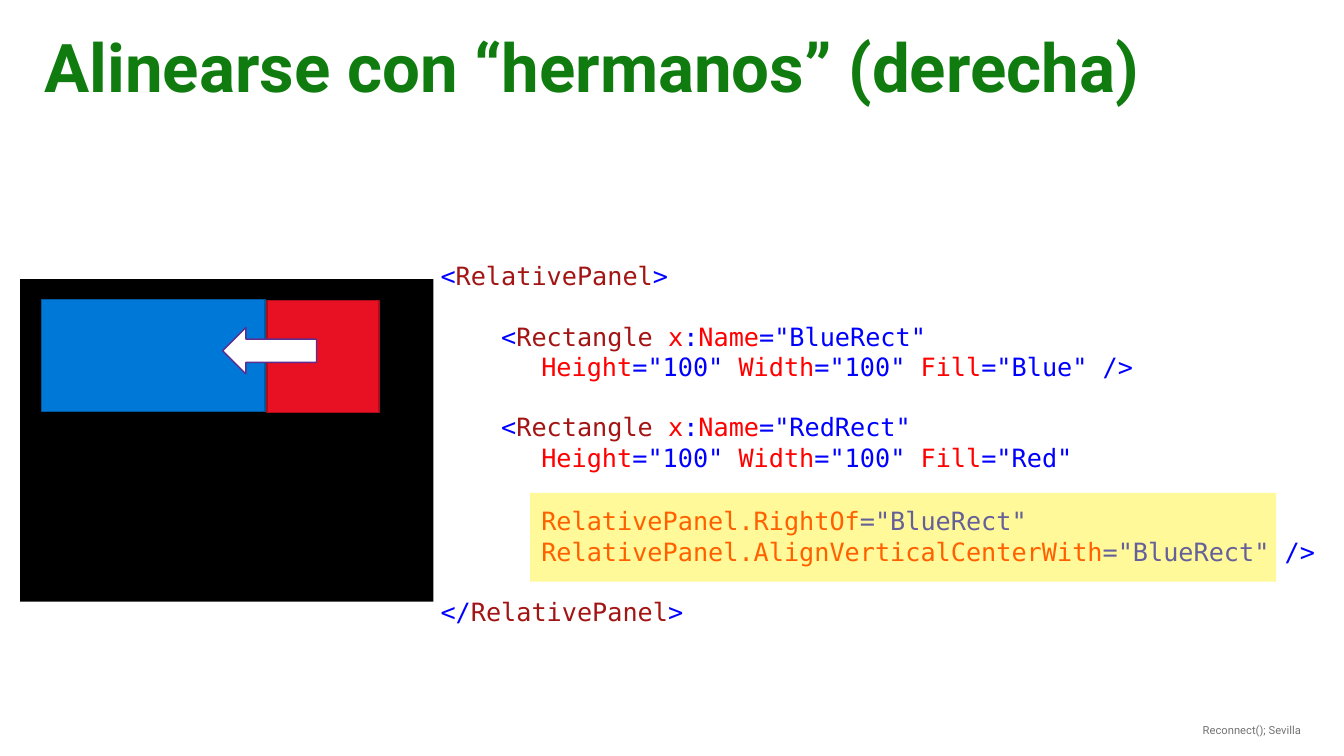
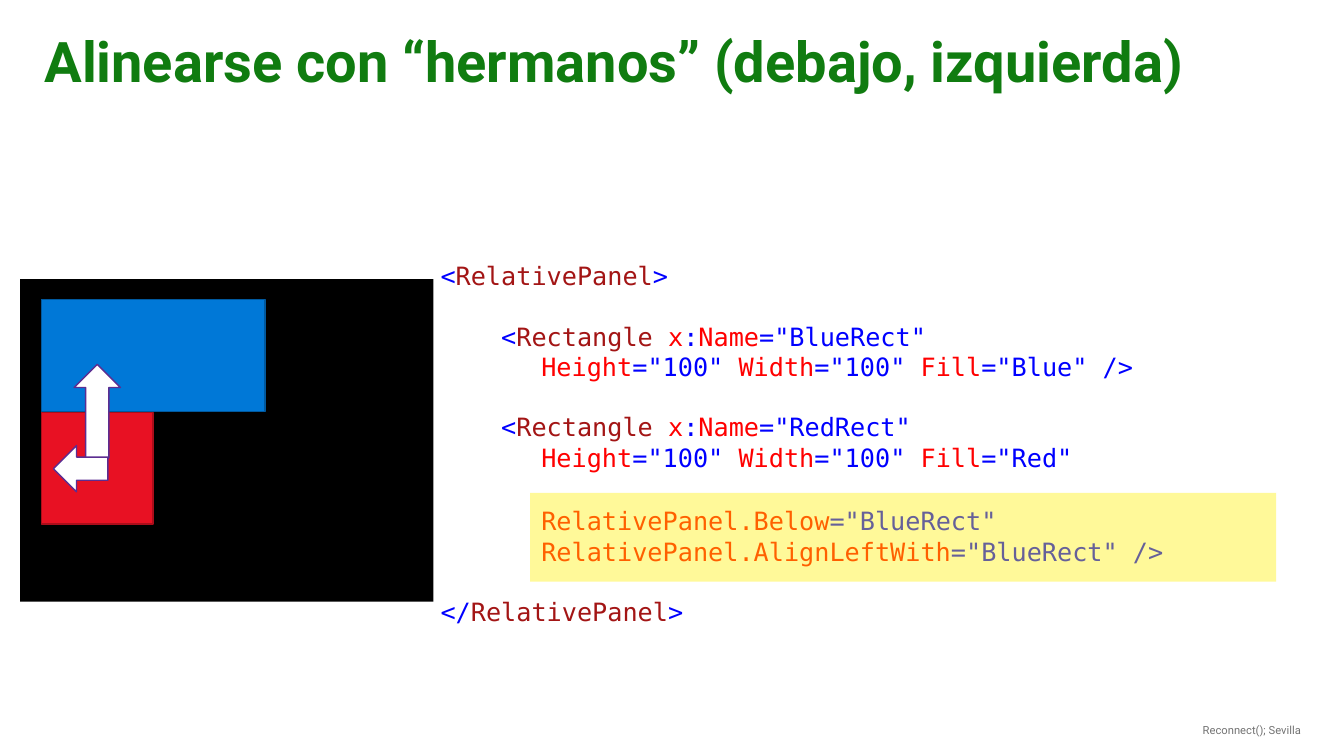
import pptx
import pptx.util
import pptx.dml.color
import pptx.enum.shapes
import pptx.enum.text
import pptx.oxml

Inches = pptx.util.Inches
Pt = pptx.util.Pt
KIND = pptx.enum.shapes.MSO_SHAPE
ALIGN = pptx.enum.text.PP_ALIGN
ANCHOR = pptx.enum.text.MSO_ANCHOR

INK = {
    "title": "107C10", "foot": "737373",
    "mark": "0000FF", "tag": "A31515", "attr": "FF0000",
    "panel": "000000", "blue": "0078D7", "navy": "00599F",
    "red": "E81123", "wine": "AC0D1A",
    "arrow": "FFFFFF", "edge": "5C2D91", "glow": "FFF100",
}
SANS, MONO = "Roboto", "DejaVu Sans Mono"
PITCH = 21.6  # code line height in points
SIDE = 1.11   # side of the red square
ARROW = 0.46  # arrow thickness


def rgb(key):
    return pptx.dml.color.RGBColor.from_string(INK[key])


# Text
def add_run(para, text, key, size, face, bold=False):
    run = para.add_run()
    run.text = text
    font = run.font
    font.size, font.name, font.bold = Pt(size), face, bold
    font.color.rgb = rgb(key)


def add_box(slide, area, pad=(0.1, 0.05), anchor=ANCHOR.TOP):
    box = slide.shapes.add_textbox(*map(Inches, area))
    frame = box.text_frame
    frame.word_wrap = True
    frame.vertical_anchor = anchor
    frame.margin_left = frame.margin_right = Inches(pad[0])
    frame.margin_top = frame.margin_bottom = Inches(pad[1])
    return frame


def add_tab(para, left):
    tabs = pptx.oxml.parse_xml(
        '<a:tabLst %s><a:tab pos="%d" algn="l"/></a:tabLst>'
        % (pptx.oxml.ns.nsdecls("a"), Inches(left)))
    para._p.get_or_add_pPr().append(tabs)


# Shapes
def add_form(slide, kind, area, fill, line=None, turn=0):
    form = slide.shapes.add_shape(kind, *map(Inches, area))
    form.shadow.inherit = False
    form.rotation = turn
    form.fill.solid()
    form.fill.fore_color.rgb = rgb(fill)
    if line:
        form.line.color.rgb = rgb(line)
        form.line.width = Pt(1)
    else:
        form.line.fill.background()
    return form


def add_arrow(slide, left, top, width, turn=0):
    area = (left, top, width, ARROW)
    add_form(slide, KIND.LEFT_ARROW, area, "arrow", "edge", turn)


def add_glow(slide):
    form = add_form(slide, KIND.RECTANGLE, (5.26, 4.89, 7.4, 0.88), "glow")
    tint = form.fill._xPr.find(".//" + pptx.oxml.ns.qn("a:srgbClr"))
    alpha = pptx.oxml.parse_xml(
        '<a:alpha %s val="40000"/>' % pptx.oxml.ns.nsdecls("a"))
    tint.append(alpha)


# Code: a block is a list of lines, a line is a list of (colour, text)
def pair(name, value):
    return [("attr", name), ("mark", f'="{value}"')]


def panel(start):
    return [[("mark", start), ("tag", "RelativePanel"), ("mark", ">")]]


def rect(name, fill, end):
    head = [("mark", "    <"), ("tag", "Rectangle"), ("attr", " x"),
            ("mark", ":")] + pair("Name", name)
    size = pair("\tHeight", 100) + pair(" Width", 100) + pair(" Fill", fill)
    return [head, size + [("mark", end)]] if end else [head, size]


def rules(first, second):
    lines = [pair(f"\tRelativePanel.{name}", "BlueRect")
             for name in (first, second)]
    lines[-1].append(("mark", " />"))
    return lines


def add_code(slide, width, names):
    frame = add_box(slide, (4.22, 1.3, width, 6.2), (0.15, 0.12),
                    ANCHOR.MIDDLE)
    blocks = [
        (0, panel("<")),
        (PITCH, rect("BlueRect", "Blue", " />")),
        (PITCH, rect("RedRect", "Red", "")),
        (24, rules(*names)),
        (PITCH, panel("</")),
    ]
    for i, (gap, lines) in enumerate(blocks):
        para = frame.add_paragraph() if i else frame.paragraphs[0]
        add_tab(para, 1)
        para.line_spacing = Pt(PITCH)
        para.space_before = Pt(gap)
        for j, line in enumerate(lines):
            if j:
                para.add_line_break()
            for key, text in line:
                add_run(para, text, key, 18, MONO)


# Parts shared by both slides
def add_slide(deck, title, size, width, names, spot):
    slide = deck.slides.add_slide(deck.slide_layouts[6])
    foot = add_box(slide, (11.51, 7.13, 1.82, 0.33)).paragraphs[0]
    foot.alignment = ALIGN.CENTER
    add_run(foot, "Reconnect(); Sevilla", "foot", 8, SANS)

    head = add_box(slide, (0.29, 0.22, 12.74, 1.07), (0.15, 0.12))
    head.paragraphs[0].line_spacing = 0.9
    add_run(head.paragraphs[0], title, "title", size, SANS, True)

    add_code(slide, width, names)
    box = KIND.RECTANGLE
    add_form(slide, box, (0.2, 2.77, 4.1, 3.2), "panel")
    add_form(slide, box, (0.41, 2.97, 2 * SIDE, SIDE), "blue", "navy")
    add_form(slide, box, (*spot, SIDE, SIDE), "red", "wine")
    return slide


def main():
    deck = pptx.Presentation()
    deck.slide_width, deck.slide_height = Inches(40 / 3), Inches(7.5)

    # Red square to the right
    slide = add_slide(deck, "Alinearse con “hermanos” (derecha)", 48, 9.12,
                      ("RightOf", "AlignVerticalCenterWith"), (2.65, 2.98))
    add_arrow(slide, 2.21, 3.25, 0.93)
    add_glow(slide)

    # Red square below, aligned left
    slide = add_slide(deck, "Alinearse con “hermanos” (debajo, izquierda)",
                      40, 8.08, ("Below", "AlignLeftWith"), (0.41, 4.09))
    add_arrow(slide, 0.5, 3.85, 0.93, 90)
    add_arrow(slide, 0.53, 4.42, 0.54)
    add_glow(slide)

    deck.save("out.pptx")


if __name__ == "__main__":
    main()
